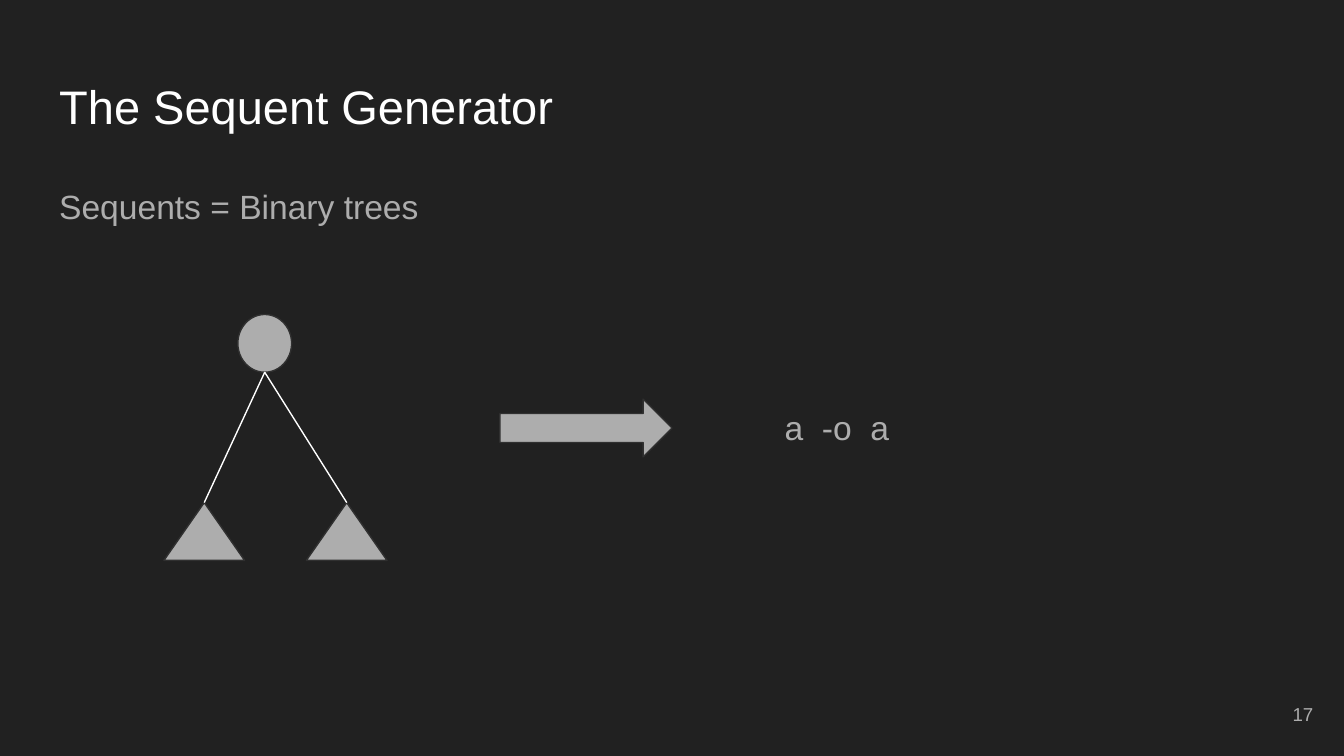
from pptx import Presentation
from pptx.dml.color import RGBColor
from pptx.enum.shapes import MSO_CONNECTOR as Link, MSO_SHAPE as Kind
from pptx.enum.text import MSO_ANCHOR as Anchor, MSO_AUTO_SIZE as Fit, PP_ALIGN as Align
from pptx.oxml.ns import qn
from pptx.util import Inches, Pt
from lxml.etree import SubElement

BACK, WHITE, GREY, EDGE = "212121", "FFFFFF", "ADADAD", "303030"
TITLE = "The Sequent Generator"
BODY = "Sequents = Binary trees"
RESULT = "a  -o  a"
NUMBER = "17"

ROOT = (1.77, 2.34, 0.4, 0.43)
LEAVES = [(left, 3.74, 0.6, 0.43) for left in (1.22, 2.28)]
ARROW = (3.72, 2.97, 1.28, 0.43)


def color(code):
    return RGBColor.from_string(code)


def place(shape, box):
    shape.left, shape.top, shape.width, shape.height = map(Inches, box)


def write(shape, text, box, size=18, ink=GREY, align=Align.LEFT, anchor=Anchor.TOP, lead=1.0):
    place(shape, box)
    frame = shape.text_frame
    frame.word_wrap = True
    frame.auto_size = Fit.NONE
    frame.vertical_anchor = anchor
    frame.margin_left = frame.margin_right = Inches(0.1)
    frame.margin_top = frame.margin_bottom = Inches(0.1)
    para = frame.paragraphs[0]
    para.alignment = align
    para.line_spacing = lead
    para.space_before = Pt(0)
    run = para.add_run()
    run.text = text
    font = run.font
    font.name, font.size = "Arial", Pt(size)
    font.color.rgb = color(ink)
    return para


def draw(slide, kind, box):
    shape = slide.shapes.add_shape(kind, *map(Inches, box))
    shape.shadow.inherit = False
    shape.fill.solid()
    shape.fill.fore_color.rgb = color(GREY)
    shape.line.color.rgb = color(EDGE)
    shape.line.width = Pt(0.75)


def join(slide, root, leaf):
    x, y, wide, high = root
    left, top, span, _ = leaf
    ends = (x + wide / 2, y + high, left + span / 2, top)
    line = slide.shapes.add_connector(Link.STRAIGHT, *map(Inches, ends))
    line.line.color.rgb = color(WHITE)
    line.line.width = Pt(0.75)
    SubElement(line._element.spPr, qn("a:effectLst"))


def main():
    deck = Presentation()
    deck.slide_width, deck.slide_height = Inches(10), Inches(10 * 9 / 16)
    slide = deck.slides.add_slide(deck.slide_layouts[1])
    slide.background.fill.solid()
    slide.background.fill.fore_color.rgb = color(BACK)

    write(slide.shapes.title, TITLE, (0.34, 0.48, 9.32, 0.63), size=25.2, ink=WHITE)
    para = write(slide.placeholders[1], BODY, (0.34, 1.24, 9.32, 3.74), lead=1.15)
    props = para._p.get_or_add_pPr()
    props.set("marL", "0")
    props.set("indent", "0")
    SubElement(props, qn("a:buNone"))

    def label(text, box, **style):
        write(slide.shapes.add_textbox(0, 0, 0, 0), text, box, **style)

    label(NUMBER, (9.27, 5.1, 0.6, 0.43), size=10, align=Align.RIGHT, anchor=Anchor.MIDDLE)
    for leaf in LEAVES:
        draw(slide, Kind.ISOSCELES_TRIANGLE, leaf)
    draw(slide, Kind.OVAL, ROOT)
    for leaf in LEAVES:
        join(slide, ROOT, leaf)
    draw(slide, Kind.RIGHT_ARROW, ARROW)
    label(RESULT, (5.74, 2.93, 2.24, 0.43))
    deck.save("out.pptx")


if __name__ == "__main__":
    main()
